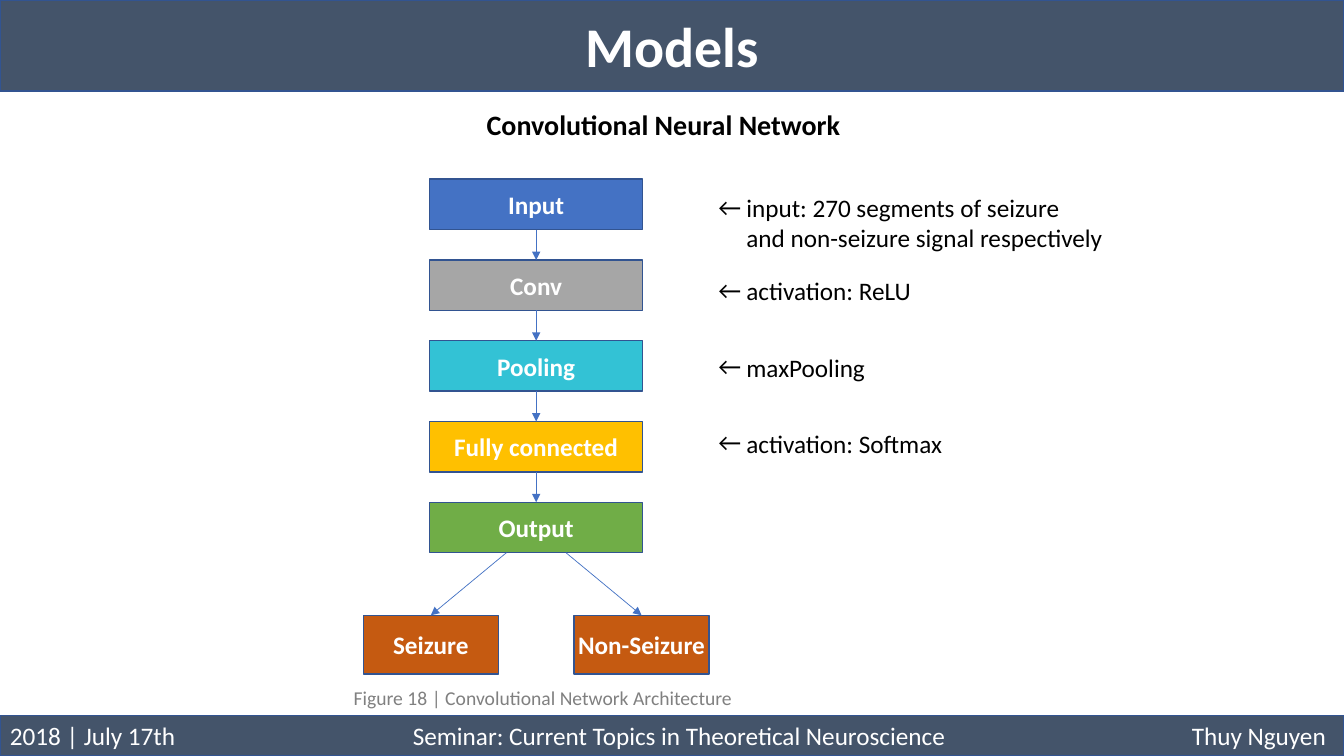
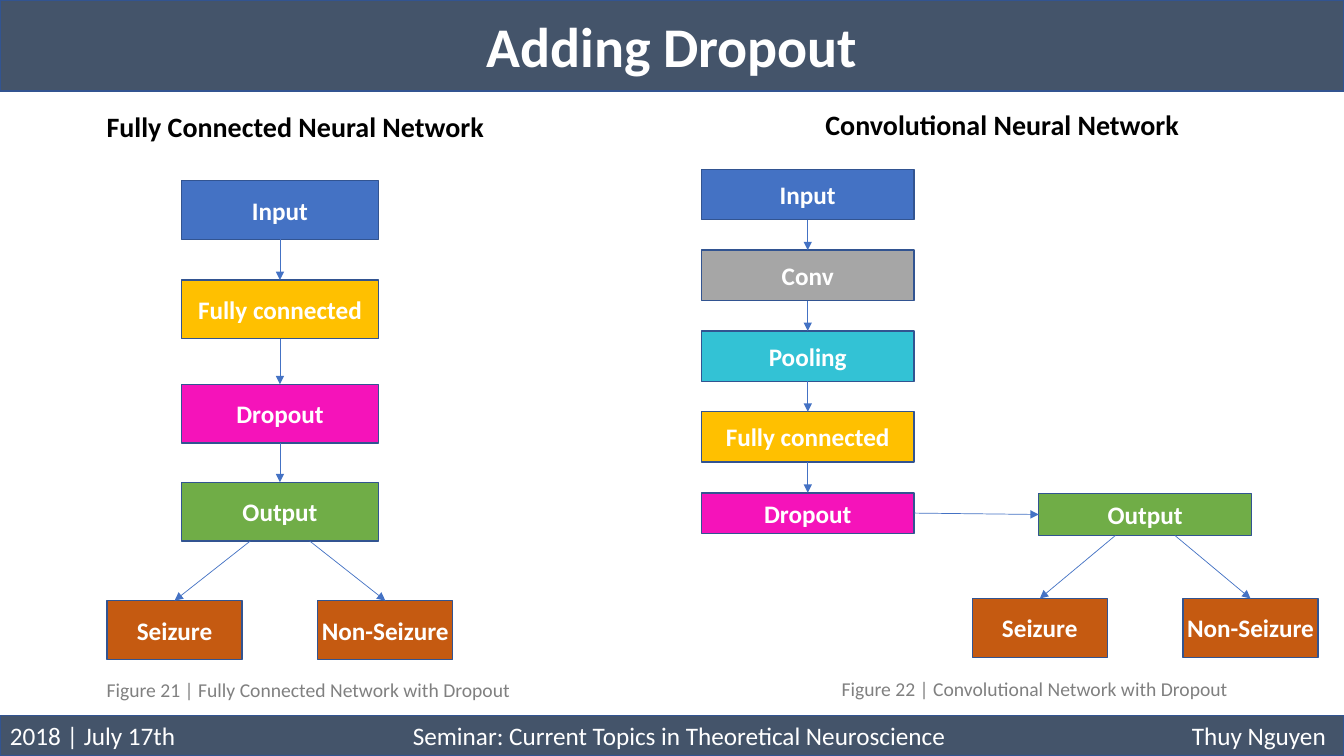
import itertools

import pptx
import pptx.dml.color
import pptx.enum.shapes
import pptx.enum.text
import pptx.oxml
import pptx.oxml.ns
import pptx.util

Pt = pptx.util.Pt
ALIGN = pptx.enum.text.PP_ALIGN
TOP, LEFT, BOTTOM, RIGHT = range(4)  # connection sites of a rectangle

WIDTH, HEIGHT = 960, 540
FONT = "Calibri"
COLOURS = {
    "band": "44546A", "outline": "325491", "arrow": "4472C4",
    "white": "FFFFFF", "black": "000000", "caption": "808080",
}
LAYER_COLOURS = {
    "Input": "4472C4", "Conv": "A6A6A6", "Pooling": "33C2D5",
    "Fully connected": "FFC000", "Dropout": "F513BA", "Output": "70AD47",
    "Seizure": "C55A11", "Non-Seizure": "C55A11",
}
CLASSES = ["Seizure", "Non-Seizure"]
CLASS_SIZE = (96.5, 42)
FORK_START, FORK_END = 21.25, 75.25  # distances from the centre line

FOOTER = ["2018 | July 17th",
          "Seminar: Current Topics in Theoretical Neuroscience",
          "Thuy Nguyen"]
FOOTER_TABS = [("ctr", 478), ("r", 940)]

# (text, space before)
NOTES = [
    ("input: 270 segments of seizure\vand non-seizure signal respectively", 0),
    ("activation: ReLU", 16),
    ("maxPooling", 33),
    ("activation: Softmax", 33),
]
NOTE_INDENT = 20

CONV_SIZE, CONV_PITCH = (152, 36), 57.7
CONV_LAYERS = ["Input", "Conv", "Pooling", "Fully connected"]
DENSE_SIZE = (140.5, 42)
DENSE_LAYERS = ["Input", "Fully connected", "Dropout", "Output"]
DENSE_TOPS = [129, 200, 274.5, 344.5]

# Each slide: title, then (text, left, top, width) for headings and captions
SLIDES = {
    "models": {
        "title": "Models",
        "headings": [("Convolutional Neural Network", 340.5, 73.5, 279)],
        "captions": [("Figure 18 | Convolutional Network Architecture",
                      245.5, 486.5, 298)],
    },
    "dropout": {
        "title": "Adding Dropout",
        "headings": [("Fully Connected Neural Network", 69, 75, 295),
                     ("Convolutional Neural Network", 582.5, 73.5, 279)],
        "captions": [("Figure 21 | Fully Connected Network with Dropout",
                      69, 481, 312),
                     ("Figure 22 | Convolutional Network with Dropout",
                      594, 480, 298)],
    },
}


def rgb(hex_colour):
    return pptx.dml.color.RGBColor.from_string(hex_colour)


def style(p, size, colour, bold=False):
    for r in p.runs:
        r.font.name = FONT
        r.font.size = Pt(size)
        r.font.bold = bold
        r.font.color.rgb = rgb(COLOURS[colour])


def add_rect(s, left, top, width, height, fill, text, size,
             bold=True, align=ALIGN.CENTER, inset=0):
    sp = s.shapes.add_shape(pptx.enum.shapes.MSO_SHAPE.RECTANGLE,
                            Pt(left), Pt(top), Pt(width), Pt(height))
    sp.shadow.inherit = False
    sp.fill.solid()
    sp.fill.fore_color.rgb = rgb(fill)
    sp.line.color.rgb = rgb(COLOURS["outline"])
    sp.line.width = Pt(1)
    tf = sp.text_frame
    tf.margin_left = tf.margin_right = Pt(inset)
    tf.margin_top = tf.margin_bottom = 0
    tf.vertical_anchor = pptx.enum.text.MSO_ANCHOR.MIDDLE
    p = tf.paragraphs[0]
    p.text = text
    p.alignment = align
    style(p, size, "white", bold)
    return sp


def add_textbox(s, left, top, width, height):
    tf = s.shapes.add_textbox(Pt(left), Pt(top), Pt(width),
                              Pt(height)).text_frame
    tf.word_wrap = True
    return tf


def add_label(s, label, size, colour, bold=False):
    text, left, top, width = label
    p = add_textbox(s, left, top, width, size * 1.6).paragraphs[0]
    p.text = text
    style(p, size, colour, bold)


def add_layer(s, name, cx, top, size):
    """Add a network layer centred on cx."""
    width, height = size
    return add_rect(s, cx - width / 2, top, width, height,
                    LAYER_COLOURS[name], name, 18)


def add_arrow(s, x1=0, y1=0, x2=0, y2=0):
    c = s.shapes.add_connector(pptx.enum.shapes.MSO_CONNECTOR.STRAIGHT,
                               Pt(x1), Pt(y1), Pt(x2), Pt(y2))
    c.line.color.rgb = rgb(COLOURS["arrow"])
    c.line.width = Pt(0.5)
    tail = pptx.oxml.ns.qn("a:tailEnd")
    c.line._get_or_add_ln().makeelement(tail)
    ln = c.line._get_or_add_ln()
    ln.append(ln.makeelement(tail, {"type": "triangle"}))
    sppr = ln.getparent()
    sppr.append(sppr.makeelement(pptx.oxml.ns.qn("a:effectLst")))
    return c


def connect(s, start, start_site, end, end_site):
    c = add_arrow(s)
    c.begin_connect(start, start_site)
    c.end_connect(end, end_site)


def add_stack(s, cx, names, tops, size):
    """Add layers from top to bottom, joined by arrows; return them."""
    layers = [add_layer(s, name, cx, top, size)
              for name, top in zip(names, tops)]
    for upper, lower in itertools.pairwise(layers):
        connect(s, upper, BOTTOM, lower, TOP)
    return layers


def add_fork(s, output, cx, top):
    """Add the two classes below the output layer."""
    bottom = (output.top + output.height) / Pt(1)
    for name, side in zip(CLASSES, (-1, 1)):
        x = cx + side * FORK_END
        add_layer(s, name, x, top, CLASS_SIZE)
        add_arrow(s, cx + side * FORK_START, bottom, x, top)


def conv_tops(first, count):
    return [first + i * CONV_PITCH for i in range(count)]


def add_footer(s):
    sp = add_rect(s, 0, 511, WIDTH, 29, COLOURS["band"], "\t".join(FOOTER),
                  18, bold=False, align=ALIGN.LEFT, inset=7.2)
    ppr = sp.text_frame.paragraphs[0]._p.get_or_add_pPr()
    tabs = ppr.makeelement(pptx.oxml.ns.qn("a:tabLst"))
    for algn, pos in FOOTER_TABS:
        tabs.append(tabs.makeelement(pptx.oxml.ns.qn("a:tab"),
                                     {"pos": str(Pt(pos)), "algn": algn}))
    ppr.append(tabs)


def add_notes(s, left, top):
    tf = add_textbox(s, left, top, 306, 206)
    for i, (text, space) in enumerate(NOTES):
        p = tf.add_paragraph() if i else tf.paragraphs[0]
        p.text = text
        p.space_before = Pt(space)
        ppr = p._p.get_or_add_pPr()
        ppr.set("marL", str(Pt(NOTE_INDENT)))
        ppr.set("indent", str(-Pt(NOTE_INDENT)))
        for tag, attrs in (("a:buFont", {"typeface": FONT}),
                           ("a:buChar", {"char": "←"})):
            ppr.append(ppr.makeelement(pptx.oxml.ns.qn(tag), attrs))
        style(p, 18, "black")


def new_slide(prs, content):
    s = prs.slides.add_slide(prs.slide_layouts[6])
    add_footer(s)
    add_rect(s, 0, 0, WIDTH, 65, COLOURS["band"], content["title"], 40)
    for heading in content["headings"]:
        add_label(s, heading, 20, "black", bold=True)
    for caption in content["captions"]:
        add_label(s, caption, 14, "caption")
    return s


def build_models(prs):
    s = new_slide(prs, SLIDES["models"])
    names = CONV_LAYERS + ["Output"]
    layers = add_stack(s, 383, names, conv_tops(128, len(names)), CONV_SIZE)
    add_fork(s, layers[-1], 383, 439.5)
    add_notes(s, 506, 134)


def build_dropout(prs):
    s = new_slide(prs, SLIDES["dropout"])
    dense = add_stack(s, 200, DENSE_LAYERS, DENSE_TOPS, DENSE_SIZE)
    add_fork(s, dense[-1], 200, 429)

    conv = add_stack(s, 577, CONV_LAYERS,
                     conv_tops(121, len(CONV_LAYERS)), CONV_SIZE)
    dropout = add_layer(s, "Dropout", 577, 352, (152, 29))
    output = add_layer(s, "Output", 818, 352.5, (152, 30))
    connect(s, conv[-1], BOTTOM, dropout, TOP)
    connect(s, dropout, RIGHT, output, LEFT)
    add_fork(s, output, 818, 427.5)


def main():
    prs = pptx.Presentation()
    prs.slide_width, prs.slide_height = Pt(WIDTH), Pt(HEIGHT)
    build_models(prs)
    build_dropout(prs)
    prs.save("out.pptx")


if __name__ == "__main__":
    main()
